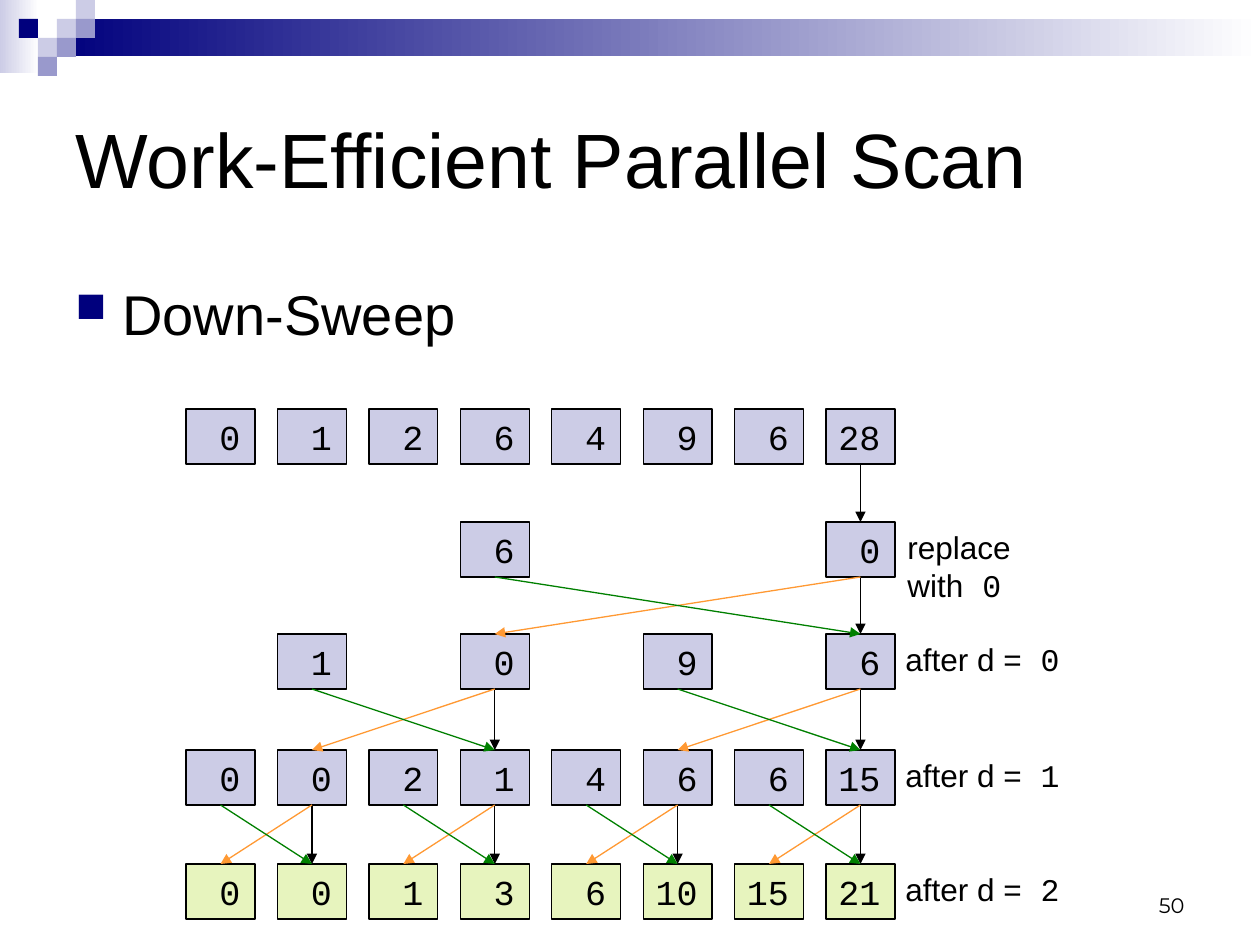
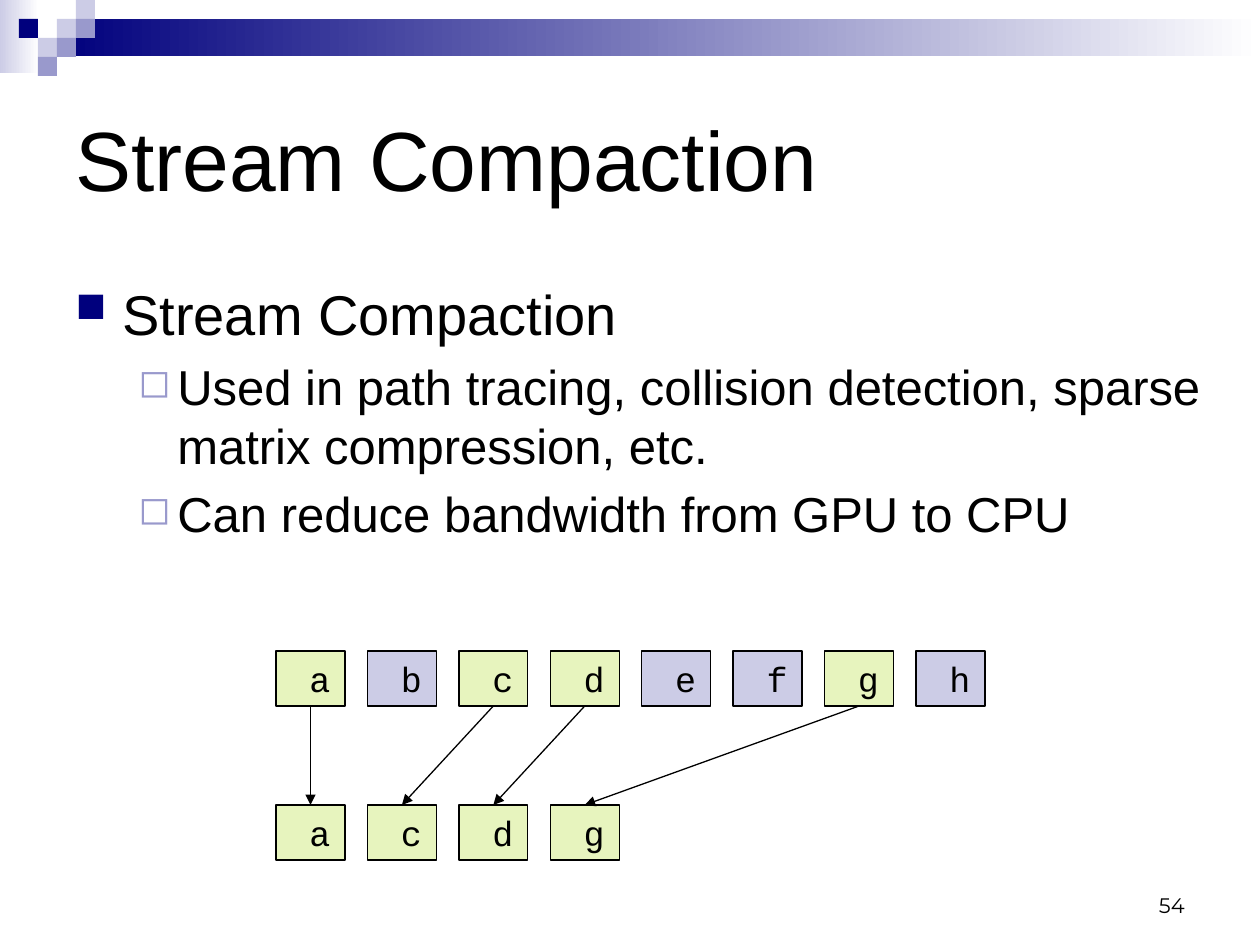
"""Build two slides on parallel scan and stream compaction."""
from lxml import etree
from pptx import Presentation
from pptx import util as u
from pptx.dml import color
from pptx.enum import shapes, text
from pptx.oxml import ns

EMU_PER_PX = 914400 / 126
BLACK, WHITE, NAVY = "000000", "FFFFFF", "00007D"
LAVENDER, VIOLET, LIME = "CCCCE6", "9999CC", "E7F4BE"
GREEN, ORANGE = "008000", "FF9933"
SANS, MONO, NUMBER_FONT = "Arial", "Courier New", "Montserrat"
CELL_WIDTH, CELL_HEIGHT = 69, 55
COLUMNS, COLUMN_SPAN = 8, 640
BULLETS = [
    {"char": "■", "color": NAVY, "percent": 75, "indent": 47, "hang": 47, "size": 32},
    {"char": "◻", "color": VIOLET, "percent": 80, "indent": 102, "hang": 39, "size": 28},
]


def px(length):
    """Turn pixels into EMU."""
    return u.Emu(round(length * EMU_PER_PX))


def rgb(value):
    """Turn a hex string into a colour."""
    return color.RGBColor.from_string(value)


def add_child(parent, tag, **attributes):
    """Append a DrawingML element and return it."""
    return etree.SubElement(parent, ns.qn(f"a:{tag}"), attributes)


def set_font(font, name, size):
    """Apply typeface and size in black."""
    font.name, font.size = name, u.Pt(size)
    font.color.rgb = rgb(BLACK)


def add_rectangle(slide, box, *colors):
    """Add a rectangle with a plain fill, or a gradient for two colours."""
    shape = slide.shapes.add_shape(shapes.MSO_SHAPE.RECTANGLE, *map(px, box))
    shape.shadow.inherit = False
    shape.line.fill.background()
    if len(colors) == 1:
        shape.fill.solid()
        shape.fill.fore_color.rgb = rgb(colors[0])
    else:
        shape.fill.gradient()
        shape.fill.gradient_angle = 0
        for stop, value in zip(shape.fill.gradient_stops, colors):
            stop.color.rgb = rgb(value)
    return shape


def add_text(slide, box, anchor=text.MSO_ANCHOR.TOP, wrap=True):
    """Add an empty text box and return its text frame."""
    frame = slide.shapes.add_textbox(*map(px, box)).text_frame
    frame.word_wrap = wrap
    frame.vertical_anchor = anchor
    return frame


def add_header(slide):
    """Draw the gradient band and its mosaic of squares."""
    unit = 19
    add_rectangle(slide, (0, 0, 39, 73), LAVENDER, WHITE)
    add_rectangle(slide, (3 * unit, unit, 1260 - 3 * unit, 37), NAVY, WHITE)
    mosaic = [(3, 1, LAVENDER), (4, 0, LAVENDER), (4, 1, VIOLET), (2, 2, LAVENDER),
              (1, 1, NAVY), (3, 2, VIOLET), (2, 3, VIOLET)]
    for column, row, fill in mosaic:
        add_rectangle(slide, (column * unit, row * unit, unit, unit), fill)


def add_base(presentation, title, title_size, number):
    """Add a slide with header, title and slide number."""
    slide = presentation.slides.add_slide(presentation.slide_layouts[6])
    add_header(slide)
    paragraph = add_text(slide, (63, 63, 1134, 189), text.MSO_ANCHOR.MIDDLE).paragraphs[0]
    paragraph.text = title
    set_font(paragraph.font, SANS, title_size)
    paragraph = add_text(slide, (903, 861, 294, 63), text.MSO_ANCHOR.BOTTOM).paragraphs[0]
    paragraph.text = str(number)
    paragraph.alignment = text.PP_ALIGN.RIGHT
    set_font(paragraph.font, NUMBER_FONT, 12)
    return slide


def add_bullets(slide, box, items):
    """Fill a text box with (level, wording) bullet paragraphs."""
    frame = add_text(slide, box)
    for index, (level, wording) in enumerate(items):
        paragraph = frame.add_paragraph() if index else frame.paragraphs[0]
        paragraph.text, paragraph.level = wording, level
        style = BULLETS[level]
        properties = paragraph._p.get_or_add_pPr()
        properties.set("marL", str(px(style["indent"])))
        properties.set("indent", str(-px(style["hang"])))
        add_child(add_child(properties, "spcBef"), "spcPct", val="20000")
        add_child(add_child(properties, "buClr"), "srgbClr", val=style["color"])
        add_child(properties, "buSzPct", val=str(style["percent"] * 1000))
        add_child(properties, "buChar", char=style["char"])
        set_font(paragraph.font, SANS, style["size"])


def column_left(left, column):
    """Return the left edge of a cell in a grid that starts at left."""
    return left + COLUMN_SPAN * column / (COLUMNS - 1)


def add_cell(slide, left, top, column, value, fill):
    """Add one array element."""
    box = column_left(left, column), top, CELL_WIDTH, CELL_HEIGHT
    shape = add_rectangle(slide, box, fill)
    shape.line.color.rgb = rgb(BLACK)
    shape.line.width = u.Pt(0.75)
    frame = shape.text_frame
    frame.word_wrap = False
    frame.auto_size = text.MSO_AUTO_SIZE.SHAPE_TO_FIT_TEXT
    frame.vertical_anchor = text.MSO_ANCHOR.TOP
    paragraph = frame.paragraphs[0]
    paragraph.text = f"{value:>2}"
    paragraph.alignment = text.PP_ALIGN.LEFT
    set_font(paragraph.font, MONO, 20)


def add_arrow(slide, left, tops, columns, line_color=BLACK):
    """Join the bottom of a cell to the top of a cell in the next row."""
    start, end = (column_left(left, column) + CELL_WIDTH / 2 for column in columns)
    arrow = slide.shapes.add_connector(
        shapes.MSO_CONNECTOR.STRAIGHT,
        px(start), px(tops[0] + CELL_HEIGHT), px(end), px(tops[1]))
    arrow.line.color.rgb = rgb(line_color)
    arrow.line.width = u.Pt(0.75)
    add_child(arrow.line._get_or_add_ln(), "tailEnd", type="triangle")
    add_child(arrow._element.spPr, "effectLst")


def add_step_label(slide, left, top, wording, value):
    """Describe a row with words and a monospaced value."""
    paragraph = add_text(slide, (left, top, 181, 50), wrap=False).paragraphs[0]
    set_font(paragraph.font, SANS, 18)
    paragraph.add_run().text = wording
    run = paragraph.add_run()
    run.text = f" {value}"
    run.font.name = MONO


def add_down_sweep(slide, left, top):
    """Draw the rows of the down-sweep and the moves between them."""
    tops = [top + offset for offset in (0, 113, 225, 341, 455)]
    last = COLUMNS - 1
    rows = [
        dict(enumerate([0, 1, 2, 6, 4, 9, 6, 28])),
        {3: 6, 7: 0},
        {1: 1, 3: 0, 5: 9, 7: 6},
        dict(enumerate([0, 0, 2, 1, 4, 6, 6, 15])),
        dict(enumerate([0, 0, 1, 3, 6, 10, 15, 21])),
    ]
    for row_top, row in zip(tops, rows):
        fill = LIME if row is rows[-1] else LAVENDER
        for column, value in row.items():
            add_cell(slide, left, row_top, column, value, fill)

    add_arrow(slide, left, tops[:2], (last, last))
    label_left = left + 707
    add_step_label(slide, label_left + 2, tops[1], "replace with", 0)
    for depth in range(3):
        half = 4 >> depth
        step = tops[depth + 1:depth + 3]
        add_step_label(slide, label_left, step[1], "after d =", depth)
        for right in range(2 * half - 1, COLUMNS, 2 * half):
            add_arrow(slide, left, step, (right, right))
            add_arrow(slide, left, step, (right, right - half), ORANGE)
            add_arrow(slide, left, step, (right - half, right), GREEN)


def add_compaction(slide, left, top):
    """Draw the input array above its kept elements."""
    values, kept = "abcdefgh", "acdg"
    tops = top, top + 154
    for column, value in enumerate(values):
        add_cell(slide, left, tops[0], column, value, LIME if value in kept else LAVENDER)
    for column, value in enumerate(kept):
        add_cell(slide, left, tops[1], column, value, LIME)
        add_arrow(slide, left, tops, (values.index(value), column))


def main():
    """Build and save the presentation."""
    presentation = Presentation()
    presentation.slide_width, presentation.slide_height = px(1260), px(945)

    slide = add_base(presentation, "Work-Efficient Parallel Scan", 44, 50)
    add_bullets(slide, (63, 273, 1134, 76), [(0, "Down-Sweep")])
    add_down_sweep(slide, 186, 409)

    slide = add_base(presentation, "Stream Compaction", 48, 54)
    add_bullets(slide, (63, 273, 1176, 536), [
        (0, "Stream Compaction"),
        (1, "Used in path tracing, collision detection, sparse matrix compression, etc."),
        (1, "Can reduce bandwidth from GPU to CPU"),
    ])
    add_compaction(slide, 276, 651)

    presentation.save("out.pptx")


if __name__ == "__main__":
    main()
